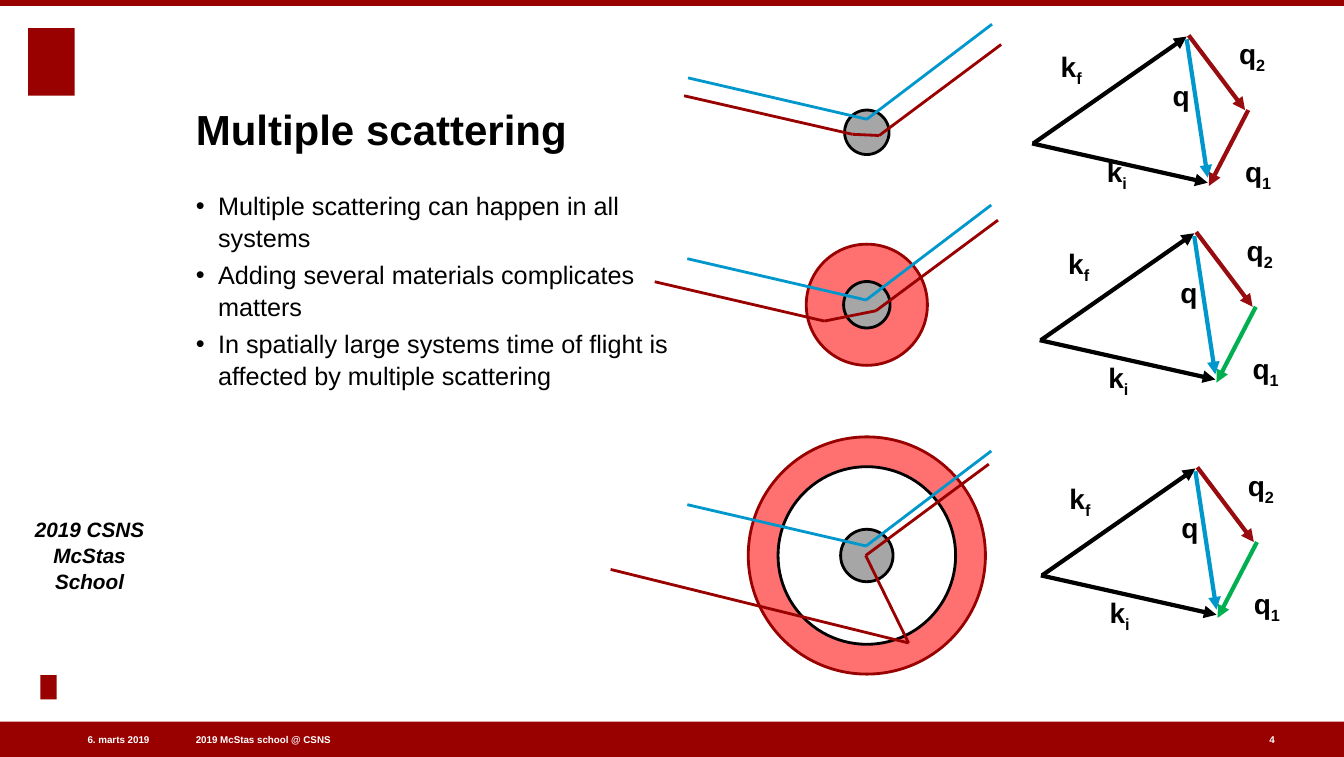
from dataclasses import dataclass

from lxml.etree import SubElement
from pptx import Presentation
from pptx.dml.color import RGBColor as Color
from pptx.enum.shapes import MSO_CONNECTOR as Link, MSO_SHAPE as Preset
from pptx.enum.text import MSO_ANCHOR as Anchor, PP_ALIGN as Align
from pptx.oxml.ns import qn
from pptx.util import Cm, Pt


@dataclass(frozen=True)
class Theme:
    """Colours, type sizes and line widths of the slide."""
    font: str = "Arial"
    black: str = "000000"
    white: str = "FFFFFF"
    crimson: str = "990000"
    wine: str = "980B0F"
    rose: str = "FF7070"
    grey: str = "A6A6A6"
    blue: str = "0097CD"
    green: str = "00B050"
    title: float = 30
    label: float = 20
    body: float = 18
    side: float = 14.8
    footer: float = 7
    ray: float = 2
    arrow: float = 3
    leading: float = 1.05


class Slide:
    """Draws styled elements on the current slide."""

    def __init__(self, page, theme):
        """Keep the slide and its theme."""
        self.page, self.theme = page, theme

    def shape(self, preset, left, top, width, height, fill, line=None):
        """Add a filled preset shape, outlined if a line colour is given."""
        shape = self.page.shapes.add_shape(
            preset, Cm(left), Cm(top), Cm(width), Cm(height))
        shape.shadow.inherit = False
        shape.fill.solid()
        shape.fill.fore_color.rgb = Color.from_string(fill)
        if line:
            shape.line.color.rgb = Color.from_string(line)
            shape.line.width = Pt(self.theme.ray)
        else:
            shape.line.fill.background()

    def circle(self, centre, diameter, fill, line):
        """Add a circle around a centre point."""
        left, top = (value - diameter / 2 for value in centre)
        self.shape(Preset.OVAL, left, top, diameter, diameter, fill, line)

    def line(self, start, end, color, width, arrow=False):
        """Add a straight line, with an arrowhead at its end if asked."""
        line = self.page.shapes.add_connector(
            Link.STRAIGHT, *(Cm(value) for value in (*start, *end)))
        line.line.color.rgb = Color.from_string(color)
        line.line.width = Pt(width)
        if arrow:
            SubElement(line.line._get_or_add_ln(), qn("a:tailEnd"), type="triangle")
        SubElement(line._element.spPr, qn("a:effectLst"))

    def trace(self, points, color):
        """Add a ray that runs through the given points."""
        for start, end in zip(points, points[1:]):
            self.line(start, end, color, self.theme.ray)

    def text(self, place, lines, size, bold=True, italic=False, color=None,
             align=Align.LEFT, anchor=Anchor.TOP, leading=None, wrap=True):
        """Add a text box without margins and return its paragraphs."""
        frame = self.page.shapes.add_textbox(*(Cm(value) for value in place)).text_frame
        frame.margin_left = frame.margin_right = Cm(0)
        frame.margin_top = frame.margin_bottom = Cm(0)
        frame.word_wrap, frame.vertical_anchor = wrap, anchor
        frame.text = lines
        for para in frame.paragraphs:
            para.alignment, para.line_spacing = align, leading
            for span in para.runs:
                font = span.font
                font.name, font.size = self.theme.font, Pt(size)
                font.bold, font.italic = bold, italic
                font.color.rgb = Color.from_string(color or self.theme.black)
        return frame.paragraphs

    def bullets(self, place, items):
        """Add a bulleted list."""
        paras = self.text(place, "\n".join(items), self.theme.body, bold=False,
                          leading=self.theme.leading)
        for index, para in enumerate(paras):
            para.space_before = Pt(4 if index else 0)
            props = para._p.get_or_add_pPr()
            props.set("marL", str(Cm(0.56)))
            props.set("indent", str(Cm(-0.56)))
            SubElement(props, qn("a:buFont"), typeface=self.theme.font)
            SubElement(props, qn("a:buChar"), char="•")

    def symbol(self, left, top, width, letter, index=""):
        """Add a vector name with an optional subscript."""
        para = self.text((left, top, width, 1.17), letter, self.theme.label)[0]
        if index:
            span = para.add_run()
            span.text = index
            span.font.name, span.font.size = self.theme.font, Pt(self.theme.label)
            span.font.bold = True
            span.font.color.rgb = Color.from_string(self.theme.black)
            span._r.get_or_add_rPr().set("baseline", "-25000")

    def triangle(self, origin, first_color, ki_label):
        """Add the scattering vectors that start from one origin."""
        theme = self.theme
        x, y = origin
        vectors = [
            ((0, 0), (3.86, -2.69), theme.black),
            ((-0.03, 0), (4.39, 0.99), theme.black),
            ((5.41, -0.84), (4.42, 1.07), first_color),
            ((3.91, -2.72), (5.33, -0.84), theme.wine),
            ((3.86, -2.62), (4.39, 0.86), theme.blue),
        ]
        for (x1, y1), (x2, y2), color in vectors:
            self.line((x + x1, y + y1), (x + x2, y + y2), color, theme.arrow, arrow=True)
        symbols = [
            (0.69, -2.36, 1.8, "k", "f"),
            (*ki_label, 2.16, "k", "i"),
            (3.51, -1.63, 1.4, "q", ""),
            (5.33, 0.28, 1.47, "q", "1"),
            (5.18, -2.69, 1.47, "q", "2"),
        ]
        for dx, dy, width, letter, index in symbols:
            self.symbol(x + dx, y + dy, width, letter, index)

    def sample(self, centre_y, rings, hit, multiple):
        """Add a sample with its single and multiple scattering rays."""
        for diameter, fill, line in rings:
            self.circle((21.82, centre_y), diameter, fill, line)
        self.trace(multiple, self.theme.crimson)
        x, y = hit
        self.trace([(x - 4.5, y - 1.04), hit, (x + 3.15, y - 2.39)], self.theme.blue)


def main():
    """Build the slide and save it."""
    theme = Theme()
    deck = Presentation()
    deck.slide_width, deck.slide_height = Cm(33.83), Cm(19.05)
    slide = Slide(deck.slides.add_slide(deck.slide_layouts[6]), theme)

    for place in [(0, 18.16, 33.83, 0.89), (0, 0, 33.83, 0.15),
                  (0.71, 0.71, 1.17, 1.7), (1.02, 16.99, 0.41, 0.61)]:
        slide.shape(Preset.RECTANGLE, *place, theme.crimson)

    for left, width, words, align, wrap in [
            (4.93, 9.45, "2019 McStas school @ CSNS", Align.LEFT, True),
            (0.69, 3.07, "6. marts 2019", Align.RIGHT, True),
            (31.95, 0.36, "4", Align.LEFT, False)]:
        slide.text((left, 18.44, width, 0.36), words, theme.footer, color=theme.white,
                   align=align, anchor=Anchor.MIDDLE, wrap=wrap)
    slide.text((0.86, 12.93, 2.79, 2.01), "2019 CSNS\vMcStas School", theme.side,
               italic=True, align=Align.CENTER, anchor=Anchor.BOTTOM,
               leading=theme.leading)
    slide.text((4.93, 1.19, 25.86, 2.69), "Multiple scattering", theme.title,
               anchor=Anchor.BOTTOM)

    samples = [
        (3.33, [(1.12, theme.grey, theme.black)], (21.82, 3),
         [(17.22, 2.41), (21.46, 3.38), (22.13, 3.41), (25.2, 1.12)]),
        (7.67, [(3.05, theme.rose, theme.crimson), (1.17, theme.grey, theme.black)],
         (21.8, 7.55),
         [(16.48, 7.09), (20.75, 8.08), (22.05, 7.82), (25.12, 5.54)]),
        (13.98, [(5.97, theme.rose, theme.crimson), (4.47, theme.white, theme.black),
                 (1.32, theme.grey, theme.black)], (21.8, 13.74),
         [(15.37, 14.33), (22.87, 16.18), (21.79, 13.98), (24.89, 11.68)]),
    ]
    for sample in samples:
        slide.sample(*sample)

    for origin, color, ki_label in [((26.01, 3.61), theme.wine, (1.85, 0.28)),
                                    ((26.2, 8.56), theme.green, (1.7, 0.5)),
                                    ((26.23, 14.48), theme.green, (1.7, 0.5))]:
        slide.triangle(origin, color, ki_label)

    slide.bullets((4.93, 4.75, 12.24, 12.62), [
        "Multiple scattering can happen in all systems",
        "Adding several materials complicates matters",
        "In spatially large systems time of flight is affected by multiple scattering",
    ])
    deck.save("out.pptx")


if __name__ == "__main__":
    main()
